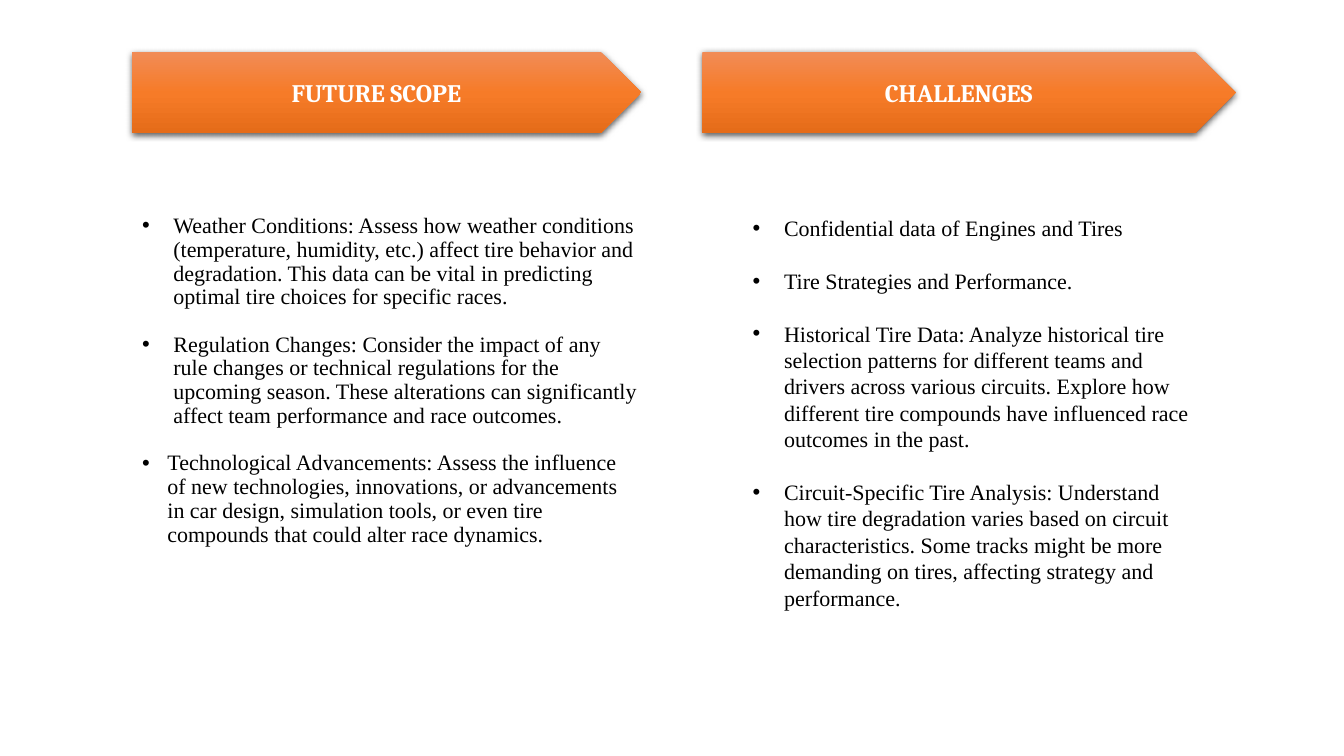
from dataclasses import dataclass

from lxml.etree import SubElement
from pptx import Presentation
from pptx.dml.color import RGBColor
from pptx.enum.shapes import MSO_SHAPE as Preset
from pptx.enum.text import MSO_ANCHOR as Anchor, PP_ALIGN as Align
from pptx.oxml.ns import qn
from pptx.util import Cm, Pt


@dataclass(frozen=True)
class Theme:
    gradient: tuple = ("F18C57", "F67B28", "E56C19")
    shadow: str = "000000"
    heading_color: str = "FFFFFF"
    body_color: str = "000000"
    heading_font: str = "Cambria"
    body_font: str = "Times New Roman"
    heading_size: float = 18
    body_size: float = 15.7


THEME = Theme()

FUTURE_SCOPE = [
    ("Weather Conditions: Assess how weather conditions (temperature, humidity, etc.) "
     "affect tire behavior and degradation. This data can be vital in predicting "
     "optimal tire choices for specific races.", 0.79),
    ("Regulation Changes: Consider the impact of any rule changes or technical "
     "regulations for the upcoming season. These alterations can significantly "
     "affect team performance and race outcomes.", 0.79),
    ("Technological Advancements: Assess the influence of new technologies, "
     "innovations, or advancements in car design, simulation tools, or even tire "
     "compounds that could alter race dynamics.", 0.64),
]
CHALLENGES = [
    ("Confidential data of Engines and Tires", 0.79),
    ("Tire Strategies and Performance.", 0.79),
    ("Historical Tire Data: Analyze historical tire selection patterns for different "
     "teams and drivers across various circuits. Explore how different tire compounds "
     "have influenced race outcomes in the past.", 0.79),
    ("Circuit-Specific Tire Analysis: Understand how tire degradation varies based on "
     "circuit characteristics. Some tracks might be more demanding on tires, affecting "
     "strategy and performance.", 0.79),
]


def style_font(font, name, size, color, bold=False):
    font.name = name
    font.size = Pt(size)
    font.bold = bold
    font.color.rgb = RGBColor.from_string(color)


def fill_gradient(banner):
    properties = banner._element.spPr
    gradient = SubElement(properties, qn("a:gradFill"), rotWithShape="1")
    stops = SubElement(gradient, qn("a:gsLst"))
    for index, color in enumerate(THEME.gradient):
        stop = SubElement(stops, qn("a:gs"), pos=str(index * 50000))
        SubElement(stop, qn("a:srgbClr"), val=color)
    SubElement(gradient, qn("a:lin"), ang="5400000", scaled="0")


def add_shadow(banner):
    banner.shadow.inherit = False
    effects = banner._element.spPr.find(qn("a:effectLst"))
    shadow = SubElement(effects, qn("a:outerShdw"), blurRad=str(Pt(4.5)),
                        dist=str(Pt(1.5)), dir="5400000", algn="ctr", rotWithShape="0")
    color = SubElement(shadow, qn("a:srgbClr"), val=THEME.shadow)
    SubElement(color, qn("a:alpha"), val="63000")


def add_banner(slide, heading, left, width):
    banner = slide.shapes.add_shape(Preset.PENTAGON, Cm(left), Cm(1.3), Cm(width), Cm(2.06))
    fill_gradient(banner)
    banner.line.fill.background()
    add_shadow(banner)
    frame = banner.text_frame
    frame.text = heading
    frame.vertical_anchor = Anchor.MIDDLE
    frame.paragraphs[0].alignment = Align.CENTER
    style_font(frame.paragraphs[0].runs[0].font, THEME.heading_font,
               THEME.heading_size, THEME.heading_color, bold=True)


def add_bullet(paragraph, indent):
    properties = paragraph._p.get_or_add_pPr()
    properties.set("marL", str(Cm(indent)))
    properties.set("indent", str(-Cm(indent)))
    SubElement(properties, qn("a:buFont"), typeface="Arial")
    SubElement(properties, qn("a:buChar"), char="•")


def add_points(slide, points, left, width, height, line_spacing, gap):
    box = slide.shapes.add_textbox(Cm(left), Cm(5.28), Cm(width), Cm(height))
    frame = box.text_frame
    frame.word_wrap = True
    frame.text = "\n".join(text for text, _ in points)
    for index, (paragraph, (_, indent)) in enumerate(zip(frame.paragraphs, points)):
        add_bullet(paragraph, indent)
        paragraph.line_spacing = line_spacing
        if index:
            paragraph.space_before = Pt(gap)
        style_font(paragraph.runs[0].font, THEME.body_font,
                   THEME.body_size, THEME.body_color)


def main():
    deck = Presentation()
    deck.slide_width, deck.slide_height = Cm(33.87), Cm(19.05)
    slide = deck.slides.add_slide(deck.slide_layouts[6])
    add_banner(slide, "FUTURE SCOPE", left=3.33, width=12.83)
    add_banner(slide, "CHALLENGES", left=17.7, width=13.44)
    add_points(slide, FUTURE_SCOPE, left=3.33, width=13, height=12.78,
               line_spacing=0.9, gap=16.9)
    add_points(slide, CHALLENGES, left=18.72, width=11.58, height=9.88,
               line_spacing=1, gap=18.9)
    deck.save("out.pptx")


if __name__ == "__main__":
    main()
